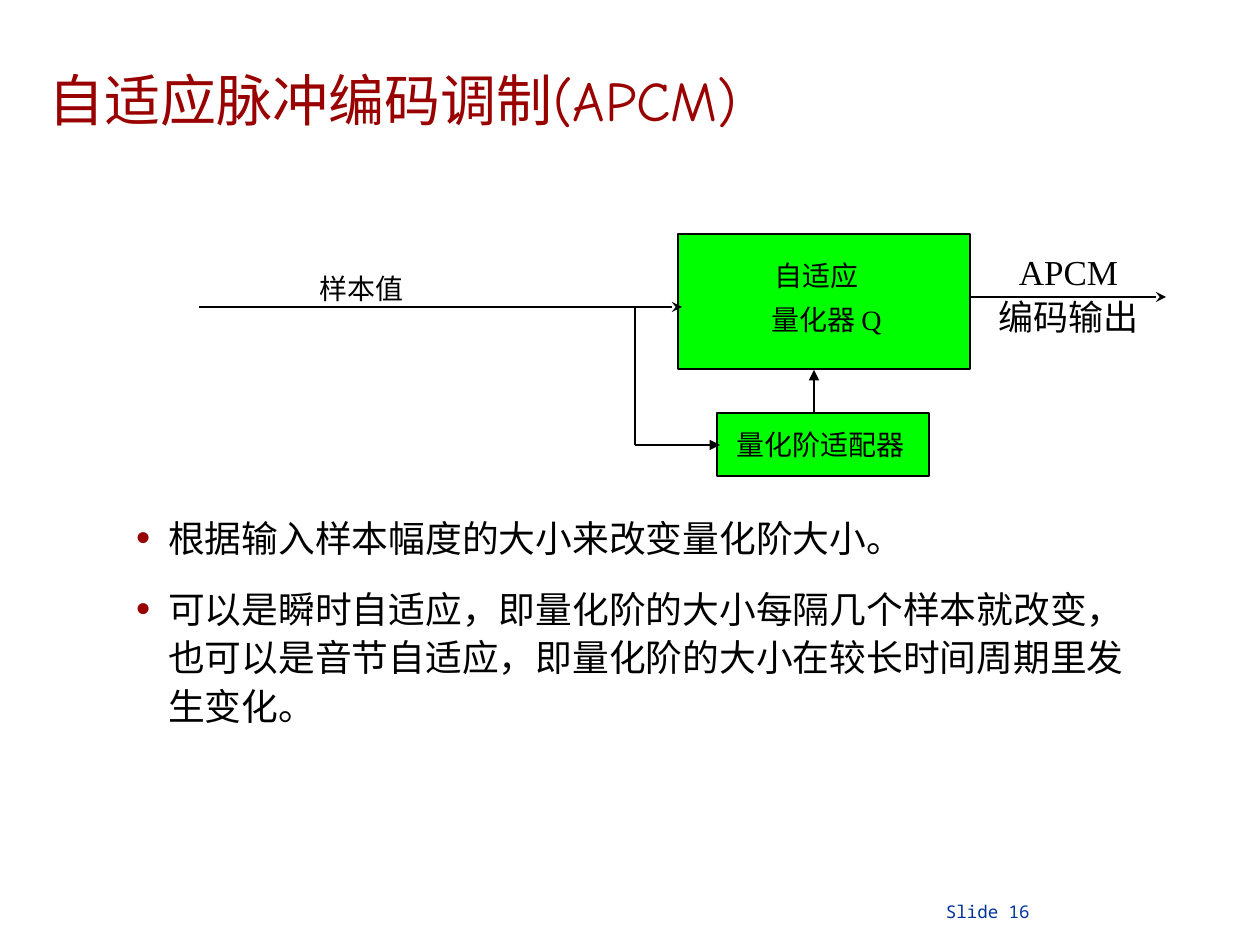
from typing import NamedTuple

from lxml import etree
from pptx import Presentation
from pptx.dml.color import RGBColor
from pptx.enum.shapes import MSO_CONNECTOR, MSO_SHAPE
from pptx.enum.text import MSO_ANCHOR, MSO_AUTO_SIZE, PP_ALIGN
from pptx.oxml.ns import qn
from pptx.util import Emu, Pt

EMU_PER_PX = 914400 / 126
LEFT, CENTER = PP_ALIGN.LEFT, PP_ALIGN.CENTER
TOP = MSO_ANCHOR.TOP
FIT_SHAPE, FIT_NONE = MSO_AUTO_SIZE.SHAPE_TO_FIT_TEXT, MSO_AUTO_SIZE.NONE
RECTANGLE, STRAIGHT = MSO_SHAPE.RECTANGLE, MSO_CONNECTOR.STRAIGHT
COLORS = {"title": "990000", "text": "000000", "box": "00FF00",
          "line": "000000", "footer": "003399"}
SERIF, CHINESE = "Times New Roman", "Noto Sans CJK SC"


class Box(NamedTuple):
    left: int
    top: int
    width: int
    height: int


class Label(NamedTuple):
    text: str
    box: Box
    spacing: float


class Line(NamedTuple):
    start: tuple[int, int]
    end: tuple[int, int]
    head: str = ""


def px(value: int) -> Emu:
    return Emu(round(value * EMU_PER_PX))


def color(name: str) -> RGBColor:
    return RGBColor.from_string(COLORS[name])


def add_bullet(properties) -> None:
    bullet_color = etree.SubElement(properties, qn("a:buClr"))
    etree.SubElement(bullet_color, qn("a:srgbClr"), val=COLORS["title"])
    etree.SubElement(properties, qn("a:buSzPct"), val="110000")
    etree.SubElement(properties, qn("a:buFont"), typeface="Arial")
    etree.SubElement(properties, qn("a:buChar"), char="•")


def add_text(slide, box: Box, *texts: str, size: int = 16, font: str = SERIF,
             ink: str = "text", align=CENTER, spacings: tuple = (1.0,),
             before: float = 10, insets: tuple = (13, 6), indent: int = 0,
             bullet: bool = False, fit=FIT_SHAPE) -> None:
    frame = slide.shapes.add_textbox(*map(px, box)).text_frame
    frame.word_wrap, frame.auto_size, frame.vertical_anchor = True, fit, TOP
    frame.margin_left = frame.margin_right = px(insets[0])
    frame.margin_top = frame.margin_bottom = px(insets[1])
    for index, text in enumerate(texts):
        paragraph = frame.add_paragraph() if index else frame.paragraphs[0]
        paragraph.alignment = align
        paragraph.line_spacing = spacings[index % len(spacings)]
        paragraph.space_before = Pt(before)
        properties = paragraph._p.get_or_add_pPr()
        if indent:
            properties.set("marL", str(px(indent)))
            properties.set("indent", str(px(-indent if bullet else 0)))
        if bullet:
            add_bullet(properties)
        run = paragraph.add_run()
        run.text = text
        run.font.size, run.font.name = Pt(size), font
        run.font.color.rgb = color(ink)
        etree.SubElement(run._r.get_or_add_rPr(), qn("a:ea"), typeface=CHINESE)


def add_block(slide, box: Box) -> None:
    shape = slide.shapes.add_shape(RECTANGLE, *map(px, box))
    shape.shadow.inherit = False
    shape.fill.solid()
    shape.fill.fore_color.rgb = color("box")
    shape.line.color.rgb = color("line")
    shape.line.width = Pt(1)


def add_line(slide, line: Line) -> None:
    connector = slide.shapes.add_connector(
        STRAIGHT, *map(px, line.start + line.end))
    connector.line.color.rgb = color("line")
    connector.line.width = Pt(1)
    if line.head:
        etree.SubElement(connector.line._get_or_add_ln(), qn("a:tailEnd"),
                         type=line.head)
    etree.SubElement(connector._element.spPr, qn("a:effectLst"))


BLOCKS = [Box(678, 234, 292, 135), Box(717, 413, 212, 63)]
LINES = [
    Line((199, 307), (682, 307), "stealth"),
    Line((970, 297), (1166, 297), "stealth"),
    Line((814, 413), (814, 370), "triangle"),
    Line((635, 445), (720, 445), "triangle"),
    Line((635, 445), (635, 307)),
]
LABELS = [
    Label("样本值", Box(287, 266, 149, 47), 1.0),
    Label("自适应", Box(709, 256, 215, 43), 0.9),
    Label("量化器 Q", Box(719, 300, 215, 43), 0.9),
    Label("量化阶适配器", Box(713, 425, 215, 43), 0.9),
]


def main() -> None:
    presentation = Presentation()
    presentation.slide_width, presentation.slide_height = px(1260), px(945)
    slide = presentation.slides.add_slide(presentation.slide_layouts[6])

    # Footer and title
    add_text(slide, Box(809, 901, 451, 24), "Slide 16", size=10,
             font="Noto Sans Mono", ink="footer", align=LEFT, before=0,
             insets=(11, 0), indent=126)
    add_text(slide, Box(10, 73, 766, 60), "自适应脉冲编码调制(APCM)", size=32,
             font="Comic Neue", ink="title", spacings=(0.9,), before=0,
             insets=(6, 0))

    # Explanation
    add_text(slide, Box(123, 505, 1041, 248),
             "根据输入样本幅度的大小来改变量化阶大小。",
             "可以是瞬时自适应，即量化阶的大小每隔几个样本就改变，"
             "也可以是音节自适应，即量化阶的大小在较长时间周期里发生变化。",
             size=21, font=CHINESE, align=LEFT, spacings=(1.1,), before=13.1,
             indent=32, bullet=True, fit=FIT_NONE)

    # Block diagram
    for block in BLOCKS:
        add_block(slide, block)
    for line in LINES:
        add_line(slide, line)
    for label in LABELS:
        add_text(slide, label.box, label.text, spacings=(label.spacing,))
    add_text(slide, Box(961, 256, 215, 86), "APCM", "编码输出", size=20,
             spacings=(0.7, 0.5), before=12.5)

    presentation.save("out.pptx")


if __name__ == "__main__":
    main()
